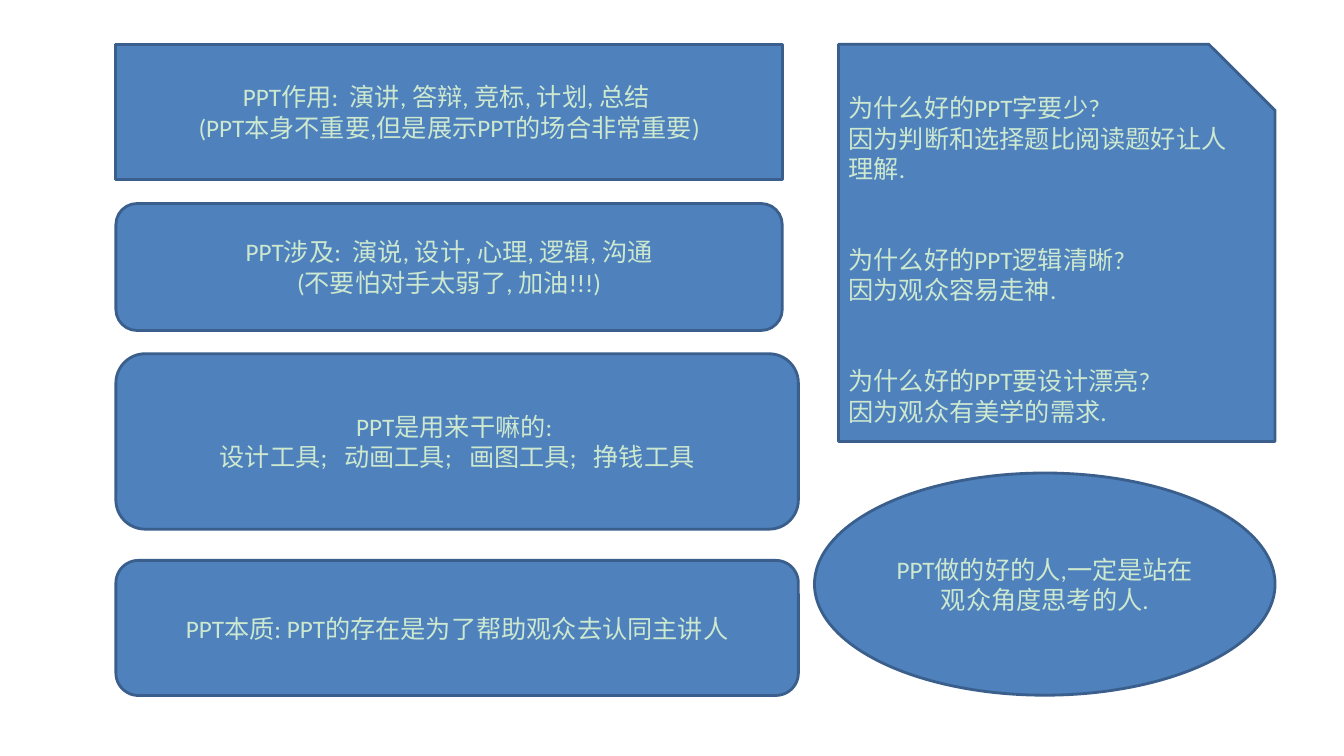
from pptx import Presentation
from pptx.dml.color import RGBColor
from pptx.enum.shapes import MSO_SHAPE
from pptx.enum.text import MSO_ANCHOR, PP_ALIGN
from pptx.util import Pt

LEFT_CARDS = [
    (MSO_SHAPE.RECTANGLE, 31.7, 476, 96.5,
     ["PPT作用:  演讲, 答辩, 竞标, 计划, 总结 ",
      "(PPT本身不重要,但是展示PPT的场合非常重要)"]),
    (MSO_SHAPE.ROUNDED_RECTANGLE, 145.4, 476, 90.7,
     ["PPT涉及:  演说, 设计, 心理, 逻辑, 沟通",
      "(不要怕对手太弱了, 加油!!!)"]),
    (MSO_SHAPE.ROUNDED_RECTANGLE, 252.7, 487.5, 125.3,
     ["PPT是用来干嘛的: ",
      "设计工具;   动画工具;   画图工具;   挣钱工具"]),
    (MSO_SHAPE.ROUNDED_RECTANGLE, 400.3, 487.5, 96.5,
     ["PPT本质: PPT的存在是为了帮助观众去认同主讲人"]),
]
REASONS = [
    ("为什么好的PPT字要少?", "因为判断和选择题比阅读题好让人理解."),
    ("为什么好的PPT逻辑清晰?", "因为观众容易走神."),
    ("为什么好的PPT要设计漂亮?", "因为观众有美学的需求."),
]
CONCLUSION = "PPT做的好的人,一定是站在观众角度思考的人."


def color(value):
    return RGBColor.from_string(value)


def add_card(s, shape_type, box, lines, align=PP_ALIGN.CENTER):
    sp = s.shapes.add_shape(shape_type, *[Pt(v) for v in box])
    sp.shadow.inherit = False
    sp.fill.solid()
    sp.fill.fore_color.rgb = color("4F81BD")
    sp.line.color.rgb = color("3A5F8C")
    sp.line.width = Pt(2)
    tf = sp.text_frame
    tf.word_wrap = True
    tf.vertical_anchor = MSO_ANCHOR.MIDDLE
    for i, line in enumerate(lines):
        p = tf.paragraphs[0] if i == 0 else tf.add_paragraph()
        p.text = line
        p.alignment = align
        p.font.name = "Calibri"
        p.font.size = Pt(18)
        p.font.color.rgb = color("CCE8CF")
    return sp


def add_left_column(s, left):
    for shape_type, top, width, height, lines in LEFT_CARDS:
        add_card(s, shape_type, (left, top, width, height), lines)


def add_reasons(s, box):
    lines = [line for pair in REASONS for line in pair]
    sp = add_card(s, MSO_SHAPE.SNIP_1_RECTANGLE, box, lines, PP_ALIGN.LEFT)
    for question in sp.text_frame.paragraphs[2::2]:
        question.space_before = Pt(43.5)


def add_conclusion(s, box):
    add_card(s, MSO_SHAPE.OVAL, box, [CONCLUSION])


def main():
    prs = Presentation()
    prs.slide_width, prs.slide_height = Pt(960), Pt(540)
    s = prs.slides.add_slide(prs.slide_layouts[6])
    add_left_column(s, 82.8)
    add_reasons(s, (599, 31.7, 311.8, 283.7))
    add_conclusion(s, (581.8, 337.9, 329, 158.7))
    prs.save("out.pptx")


if __name__ == "__main__":
    main()
